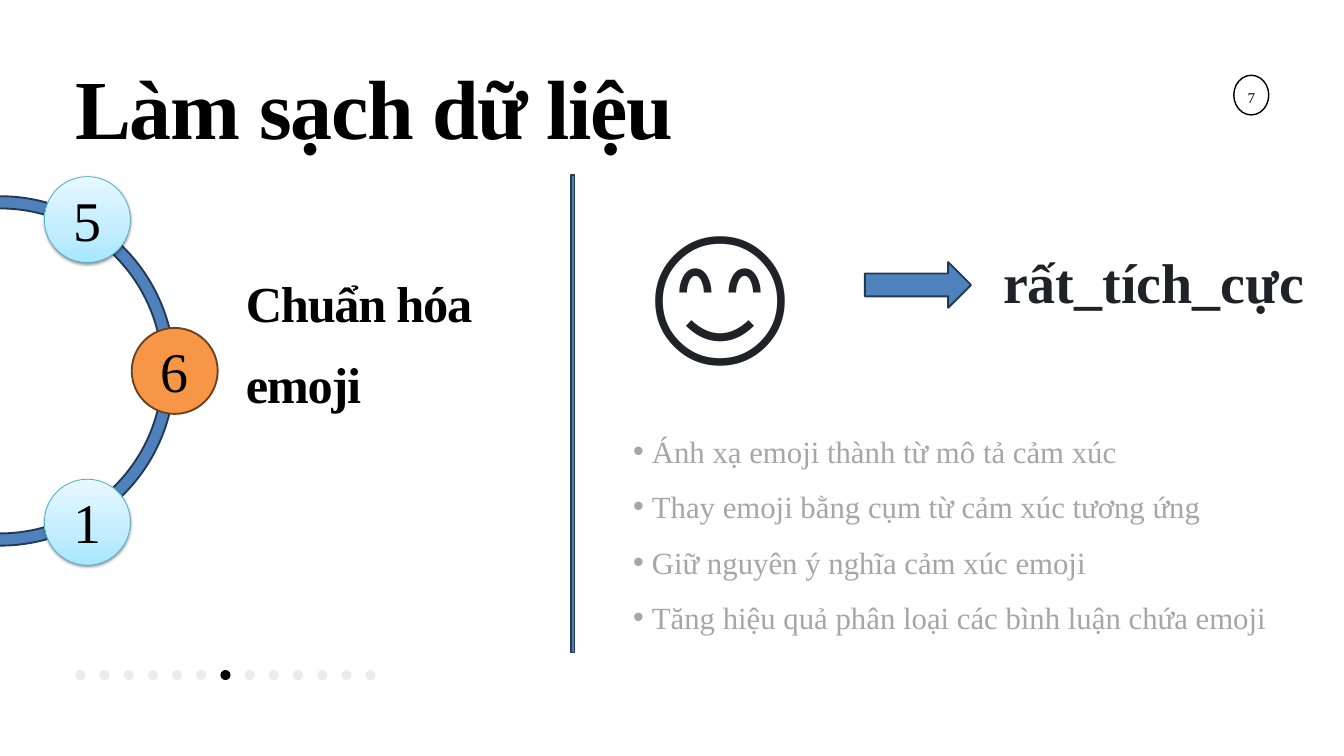
import math
from dataclasses import dataclass, field

import lxml.etree
import pptx
import pptx.dml.color
import pptx.enum.shapes
import pptx.enum.text
import pptx.oxml
import pptx.oxml.ns
import pptx.util

Inches = pptx.util.Inches
Pt = pptx.util.Pt
Preset = pptx.enum.shapes.MSO_SHAPE
Align = pptx.enum.text.PP_ALIGN
qn = pptx.oxml.ns.qn


@dataclass(frozen=True)
class Theme:
    font: str = "Times New Roman"
    black: str = "000000"
    ink: str = "1F2328"
    muted: str = "A6A6A6"
    blue: str = "4F81BD"
    navy: str = "233953"
    orange: str = "F79646"
    brown: str = "6C421F"
    aqua: str = "46AAC5"
    dot: str = "D9D9D9"
    ice: tuple = ((0, "A7E6FF"), (35, "C1EDFF"), (100, "E7F8FF"))
    title_size: int = 90
    heading_size: int = 54
    step_size: int = 60
    bullet_size: int = 33
    emoji_size: int = 166
    page_size: int = 16


THEME = Theme()


@dataclass(frozen=True)
class Box:
    left: float
    top: float
    width: float
    height: float

    def lengths(self) -> list:
        return [Inches(value) for value in (self.left, self.top, self.width, self.height)]


@dataclass(frozen=True)
class Label:
    box: Box
    lines: tuple
    size: int
    color: str = THEME.black
    bold: bool = False
    inset: float = 0
    spacing: float = 0
    bulleted: bool = False
    paragraph: dict = field(default_factory=dict)
    frame: dict = field(default_factory=dict)


@dataclass(frozen=True)
class Step:
    number: str
    angle: int
    active: bool = False


GROW = {"auto_size": pptx.enum.text.MSO_AUTO_SIZE.SHAPE_TO_FIT_TEXT}
TIGHT = {"line_spacing": Pt(86.4)}
RING_CENTER, RING_RADIUS, BADGE_SIZE = 5.52, 2.6, 1.28
STEPS = (Step("6", 0, True), Step("1", 60), Step("5", -60))
DOT_COUNT, ACTIVE_DOT, DOT_PITCH, DOT_SIZE = 13, 6, 0.36, 0.15

LABELS = (
    Label(Box(18.41, 1.17, 0.42, 0.49), ("7",), THEME.page_size, inset=0.06,
          paragraph={"alignment": Align.CENTER, "line_spacing": Pt(24)},
          frame={"vertical_anchor": pptx.enum.text.MSO_ANCHOR.MIDDLE}),
    Label(Box(1.12, 1.12, 10.46, 1.2), ("Làm sạch dữ liệu",), THEME.title_size,
          bold=True, spacing=-1.4, paragraph=TIGHT, frame=GROW),
    Label(Box(3.66, 3.75, 4.43, 2.34), ("Chuẩn hóa emoji",), THEME.heading_size,
          bold=True, spacing=-1.4, paragraph=TIGHT, frame=GROW),
    Label(Box(9.13, 6.16, 9.88, 3.23),
          ("Ánh xạ emoji thành từ mô tả cảm xúc",
           "Thay emoji bằng cụm từ cảm xúc tương ứng",
           "Giữ nguyên ý nghĩa cảm xúc emoji",
           "Tăng hiệu quả phân loại các bình luận chứa emoji"),
          THEME.bullet_size, THEME.muted, bulleted=True,
          paragraph={"level": 1, "line_spacing": 1.5}, frame=GROW),
    Label(Box(9.56, 2.79, 3.07, 2.89), ("😊",), THEME.emoji_size, THEME.ink,
          inset=0.1, frame=GROW),
    Label(Box(14.83, 3.64, 4.74, 1.11), ("rất_tích_cực",), THEME.step_size, THEME.ink,
          bold=True, inset=0.1, frame=GROW),
)


def rgb(color: str) -> pptx.dml.color.RGBColor:
    return pptx.dml.color.RGBColor.from_string(color)


def apply(target, values: dict) -> None:
    for name, value in values.items():
        setattr(target, name, value)


def add_preset(slide, preset, box: Box, fill: str = "", line: str = "", weight: float = 2):
    shape = slide.shapes.add_shape(preset, *box.lengths())
    shape.shadow.inherit = False
    if fill:
        shape.fill.solid()
        shape.fill.fore_color.rgb = rgb(fill)
    else:
        shape.fill.background()
    if line:
        shape.line.color.rgb = rgb(line)
        shape.line.width = Pt(weight)
    else:
        shape.line.fill.background()
    return shape


def add_bullet(paragraph) -> None:
    properties = paragraph._p.get_or_add_pPr()
    properties.set("marL", str(Inches(0.57)))
    properties.set("indent", str(Inches(-0.28)))
    lxml.etree.SubElement(properties, qn("a:buFont"), typeface="Arial")
    lxml.etree.SubElement(properties, qn("a:buChar"), char="•")


def add_label(slide, label: Label) -> None:
    frame = slide.shapes.add_textbox(*label.box.lengths()).text_frame
    margins = {f"margin_{side}": Inches(label.inset if side in ("left", "right") else label.inset / 2)
               for side in ("left", "right", "top", "bottom")}
    apply(frame, {"word_wrap": True, **margins, **label.frame})
    for index, text in enumerate(label.lines):
        paragraph = frame.add_paragraph() if index else frame.paragraphs[0]
        apply(paragraph, label.paragraph)
        if label.bulleted:
            add_bullet(paragraph)
        run = paragraph.add_run()
        run.text = text
        apply(run.font, {"name": THEME.font, "size": Pt(label.size), "bold": label.bold})
        run.font.color.rgb = rgb(label.color)
        if label.spacing:
            run._r.get_or_add_rPr().set("spc", str(round(label.spacing * 100)))


def style_ice(shape) -> None:
    namespace = pptx.oxml.ns.nsdecls("a")
    stops = "".join(f'<a:gs pos="{position * 1000}"><a:srgbClr val="{color}"/></a:gs>'
                    for position, color in THEME.ice)
    gradient = pptx.oxml.parse_xml(
        f'<a:gradFill {namespace}><a:gsLst>{stops}</a:gsLst><a:lin ang="16200000" scaled="0"/></a:gradFill>')
    shadow = pptx.oxml.parse_xml(
        f'<a:outerShdw {namespace} blurRad="{Pt(3.1)}" dist="{Pt(1.6)}" dir="5400000" rotWithShape="0">'
        f'<a:srgbClr val="{THEME.black}"><a:alpha val="38000"/></a:srgbClr></a:outerShdw>')
    properties = shape._element.spPr
    properties.replace(properties.find(qn("a:solidFill")), gradient)
    properties.find(qn("a:effectLst")).append(shadow)


def add_ring(slide) -> None:
    ring = add_preset(slide, Preset.DONUT,
                      Box(-RING_RADIUS, RING_CENTER - RING_RADIUS, 2 * RING_RADIUS, 2 * RING_RADIUS),
                      THEME.blue, THEME.navy)
    ring.adjustments[0] = 0.035
    for step in STEPS:
        x = RING_RADIUS * math.cos(math.radians(step.angle))
        y = RING_CENTER + RING_RADIUS * math.sin(math.radians(step.angle))
        box = Box(x - BADGE_SIZE / 2, y - BADGE_SIZE / 2, BADGE_SIZE, BADGE_SIZE)
        if step.active:
            add_preset(slide, Preset.OVAL, box, THEME.orange, THEME.brown)
        else:
            style_ice(add_preset(slide, Preset.OVAL, box, THEME.aqua, THEME.aqua, 0.75))
        add_label(slide, Label(Box(x - 0.31, y - 0.56, 0.62, 1.11), (step.number,), THEME.step_size,
                               inset=0.1, frame={"word_wrap": False, **GROW}))


def add_progress_dots(slide) -> None:
    for index in range(DOT_COUNT):
        active = index == ACTIVE_DOT
        dot = add_preset(slide, Preset.OVAL, Box(1.12 + index * DOT_PITCH, 9.97, DOT_SIZE, DOT_SIZE),
                         THEME.black if active else THEME.dot)
        if not active:
            color = dot._element.spPr.find(qn("a:solidFill"))[0]
            lxml.etree.SubElement(color, qn("a:alpha"), val="50000")


def main() -> None:
    presentation = pptx.Presentation()
    apply(presentation, {"slide_width": Inches(20), "slide_height": Inches(11.25)})
    slide = presentation.slides.add_slide(presentation.slide_layouts[6])
    add_ring(slide)
    add_progress_dots(slide)
    add_preset(slide, Preset.OVAL, Box(18.36, 1.12, 0.52, 0.59), line=THEME.black, weight=1.5)
    add_preset(slide, Preset.RECTANGLE, Box(8.5, 2.61, 0.05, 7.1), THEME.blue, THEME.navy)
    add_preset(slide, Preset.RIGHT_ARROW, Box(12.87, 3.9, 1.58, 0.68), THEME.blue, THEME.navy)
    for label in LABELS:
        add_label(slide, label)
    presentation.save("out.pptx")


if __name__ == "__main__":
    main()
